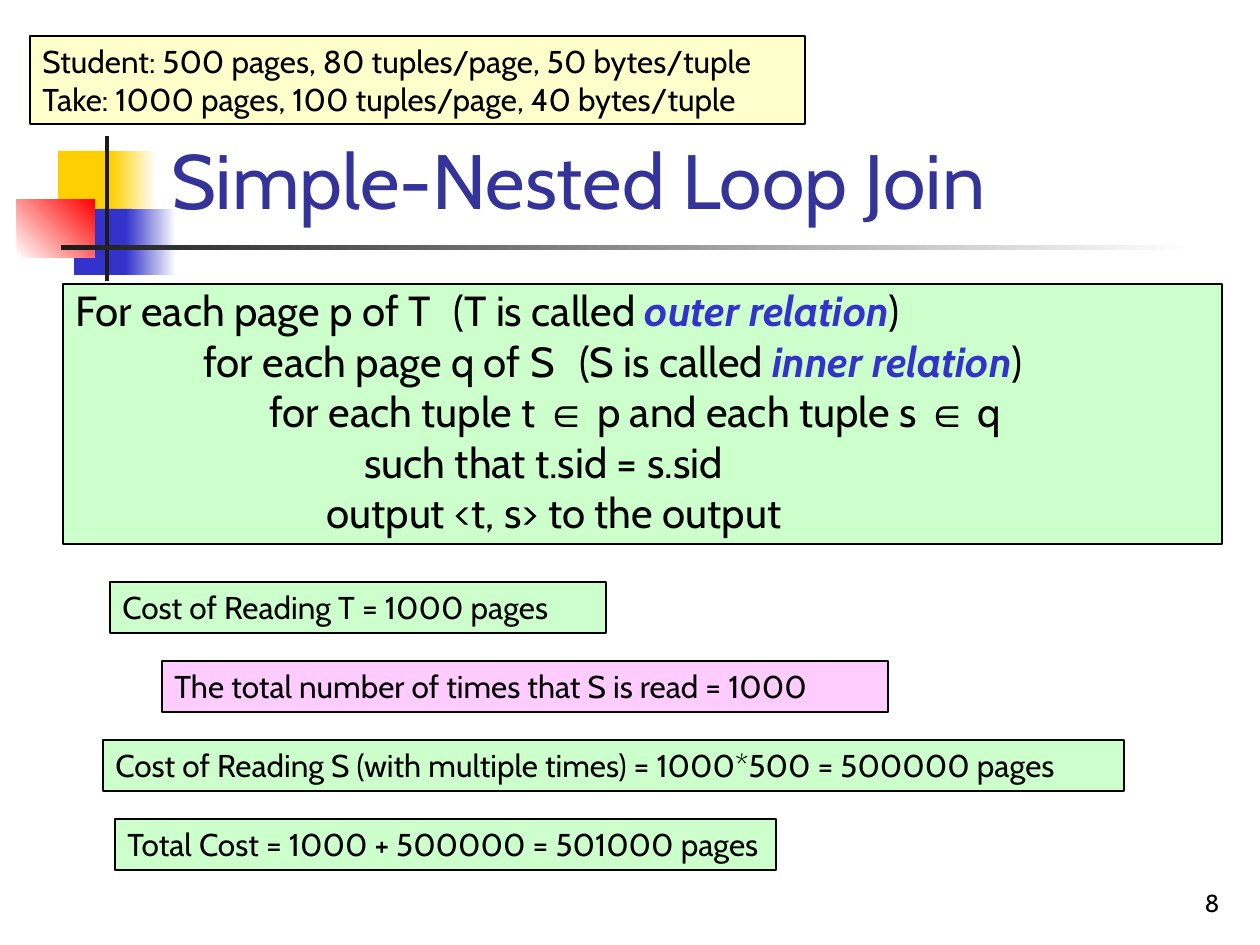
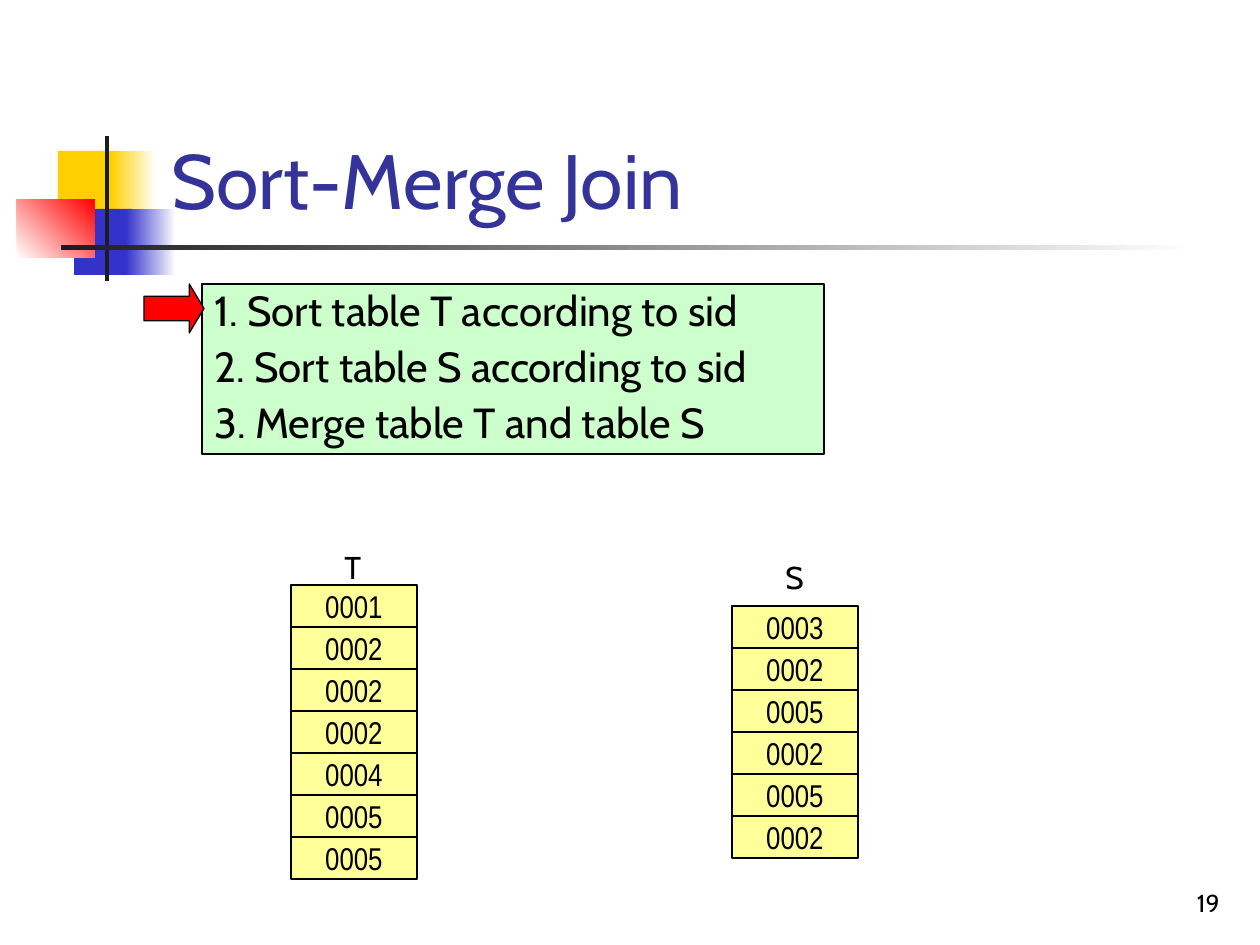
import pptx
import pptx.dml.color
import pptx.enum.shapes
import pptx.enum.text
import pptx.util
from lxml import etree
from pptx.oxml import ns

PX = 914400 / 126
SHAPES = pptx.enum.shapes.MSO_SHAPE
ALIGN = pptx.enum.text.PP_ALIGN
ANCHOR = pptx.enum.text.MSO_ANCHOR

BODY_FONT = "Cabin"
BLACK, WHITE, CHARCOAL = "000000", "FFFFFF", "1C1C1C"
YELLOW, BLUE, RED = "FFCF01", "3333CC", "FF0000"
TITLE_BLUE = "333399"
GREEN, PINK, CREAM, RECORD_YELLOW = "CCFFCC", "FFCCFF", "FFFFCC", "FFFF99"


def px(length):
    return pptx.util.Emu(round(length * PX))


def rgb(color):
    return pptx.dml.color.RGBColor.from_string(color)


def style_font(font, size=None, name=None, color=None, emphasis=None):
    if size:
        font.size = pptx.util.Pt(size)
    if name:
        font.name = name
    if color:
        font.color.rgb = rgb(color)
    if emphasis:
        font.bold = font.italic = True


def add_block(page, box, fill, line_width=0, kind=SHAPES.RECTANGLE):
    """Add a shape; fill is one colour, or (start colour, end colour, angle)."""
    block = page.shapes.add_shape(kind, *map(px, box))
    block.shadow.inherit = False
    if isinstance(fill, str):
        block.fill.solid()
        block.fill.fore_color.rgb = rgb(fill)
    else:
        block.fill.gradient()
        block.fill.gradient_angle = fill[2]
        for stop, color in zip(block.fill.gradient_stops, fill):
            stop.color.rgb = rgb(color)
    if line_width:
        block.line.color.rgb = rgb(BLACK)
        block.line.width = pptx.util.Pt(line_width)
    else:
        block.line.fill.background()
    return block


def write(shape, lines, size=18, color=BLACK, name=BODY_FONT,
          align=ALIGN.LEFT, anchor=ANCHOR.TOP):
    """Write lines; each is a string or a list of (text, font settings) spans."""
    frame = shape.text_frame
    frame.word_wrap = True
    frame.vertical_anchor = anchor
    for index, line in enumerate(lines):
        para = frame.add_paragraph() if index else frame.paragraphs[0]
        para.alignment = align
        style_font(para.font, size, name, color)
        for text, settings in [(line, {})] if isinstance(line, str) else line:
            span = para.add_run()
            span.text = text
            style_font(span.font, **settings)
    return frame.paragraphs


def add_label(page, box, text, **settings):
    write(page.shapes.add_textbox(*map(px, box)), [text], **settings)


def add_panel(page, box, lines, fill=GREEN, size=18):
    return write(add_block(page, box, fill, 0.75), lines, size)


def set_indent(para, indent, tab=None):
    """Indent the first line and place one tab stop, both from the text edge."""
    properties = para._p.get_or_add_pPr()
    properties.set("marL", "0")
    properties.set("indent", str(px(indent)))
    if tab:
        tabs = etree.Element(ns.qn("a:tabLst"))
        etree.SubElement(tabs, ns.qn("a:tab"), pos=str(px(tab)), algn="l")
        properties.find(ns.qn("a:defRPr")).addprevious(tabs)


def add_page(deck, title, number):
    page = deck.slides.add_slide(deck.slide_layouts[6])
    for box, fill in (
        ((58, 151, 60, 66), YELLOW),
        ((111, 151, 45, 66), (YELLOW, WHITE, 0)),
        ((74, 209, 58, 66), BLUE),
        ((126, 209, 50, 66), (BLUE, WHITE, 0)),
        ((17, 199, 78, 59), (WHITE, RED, 45)),
        ((105, 136, 4, 145), CHARCOAL),
        ((61, 245, 1134, 5), (CHARCOAL, WHITE, 0)),
    ):
        add_block(page, box, fill)
    add_label(page, (970, 861, 262, 63), number, size=14,
              align=ALIGN.RIGHT, anchor=ANCHOR.BOTTOM)
    add_label(page, (159, 29, 1073, 202), title, size=44,
              color=TITLE_BLUE, anchor=ANCHOR.BOTTOM)
    return page


def add_pseudocode(page, box):
    term = {"color": BLUE, "emphasis": True}
    element_of = ("∈", {"name": "Arial"})
    paras = add_panel(page, box, [
        [("For each page p of T\t(T is called ", {}), ("outer relation", term), (")", {})],
        [("for each page q of S\t(S is called ", {}), ("inner relation", term), (")", {})],
        [("for each tuple t ", {}), element_of, (" p and each tuple s ", {}),
         element_of, (" q", {})],
        "such that t.sid = s.sid",
        "output <t, s> to the output",
    ], size=24)
    paras[0].line_spacing = 0.9
    indents = ((0, 504), (128, 566), (194, None), (289, None), (251, None))
    for para, (indent, tab) in zip(paras, indents):
        set_indent(para, indent, tab)


def add_costs(page, top, step):
    costs = (
        (110, 496, GREEN, "Cost of Reading T = 1000 pages"),
        (162, 726, PINK, "The total number of times that S is read = 1000"),
        (103, 1021, GREEN,
         "Cost of Reading S (with multiple times) = 1000*500 = 500000 pages"),
        (115, 661, GREEN, "Total Cost = 1000 + 500000 = 501000 pages"),
    )
    for index, (left, width, fill, text) in enumerate(costs):
        add_panel(page, (left, top + index * step, width, 51), [text], fill)


def add_steps(page, box):
    paras = add_panel(page, box, [
        "1. Sort table T according to sid",
        "2. Sort table S according to sid",
        "3. Merge table T and table S",
    ], size=24)
    for index, para in enumerate(paras):
        para.line_spacing = 0.9
        if index:
            para.space_before = pptx.util.Pt(6)
    left, top = box[:2]
    arrow = add_block(page, (left - 58, top, 60, 49), RED, 0.75, SHAPES.RIGHT_ARROW)
    arrow.adjustments[1] = 0.3


def add_records(page, left, top, name, label_gap, records):
    """Stack record cells down from top, with the relation name above them."""
    width, height = 126, 42
    add_label(page, (left + 41, top - label_gap, 43, 50), name)
    for index, record in enumerate(records):
        cell = add_block(page, (left, top + index * height, width, height),
                         RECORD_YELLOW, 1)
        write(cell, [record], name="Arial Narrow", align=ALIGN.CENTER,
              anchor=ANCHOR.MIDDLE)


def build_nested_loop_page(deck):
    page = add_page(deck, "Simple-Nested Loop Join", "8")
    add_panel(page, (30, 36, 775, 88), [
        "Student: 500 pages, 80 tuples/page, 50 bytes/tuple",
        "Take: 1000 pages, 100 tuples/page, 40 bytes/tuple",
    ], CREAM)
    add_costs(page, top=582, step=79)
    add_pseudocode(page, (63, 284, 1159, 260))


def build_sort_merge_page(deck):
    page = add_page(deck, "Sort-Merge Join", "19")
    add_steps(page, (202, 284, 622, 170))
    add_records(page, 291, 585, "T", 43,
                ["0001", "0002", "0002", "0002", "0004", "0005", "0005"])
    add_records(page, 732, 606, "S", 54,
                ["0003", "0002", "0005", "0002", "0005", "0002"])


def main():
    deck = pptx.Presentation()
    deck.slide_width, deck.slide_height = px(1260), px(945)
    build_nested_loop_page(deck)
    build_sort_merge_page(deck)
    deck.save("out.pptx")


if __name__ == "__main__":
    main()
